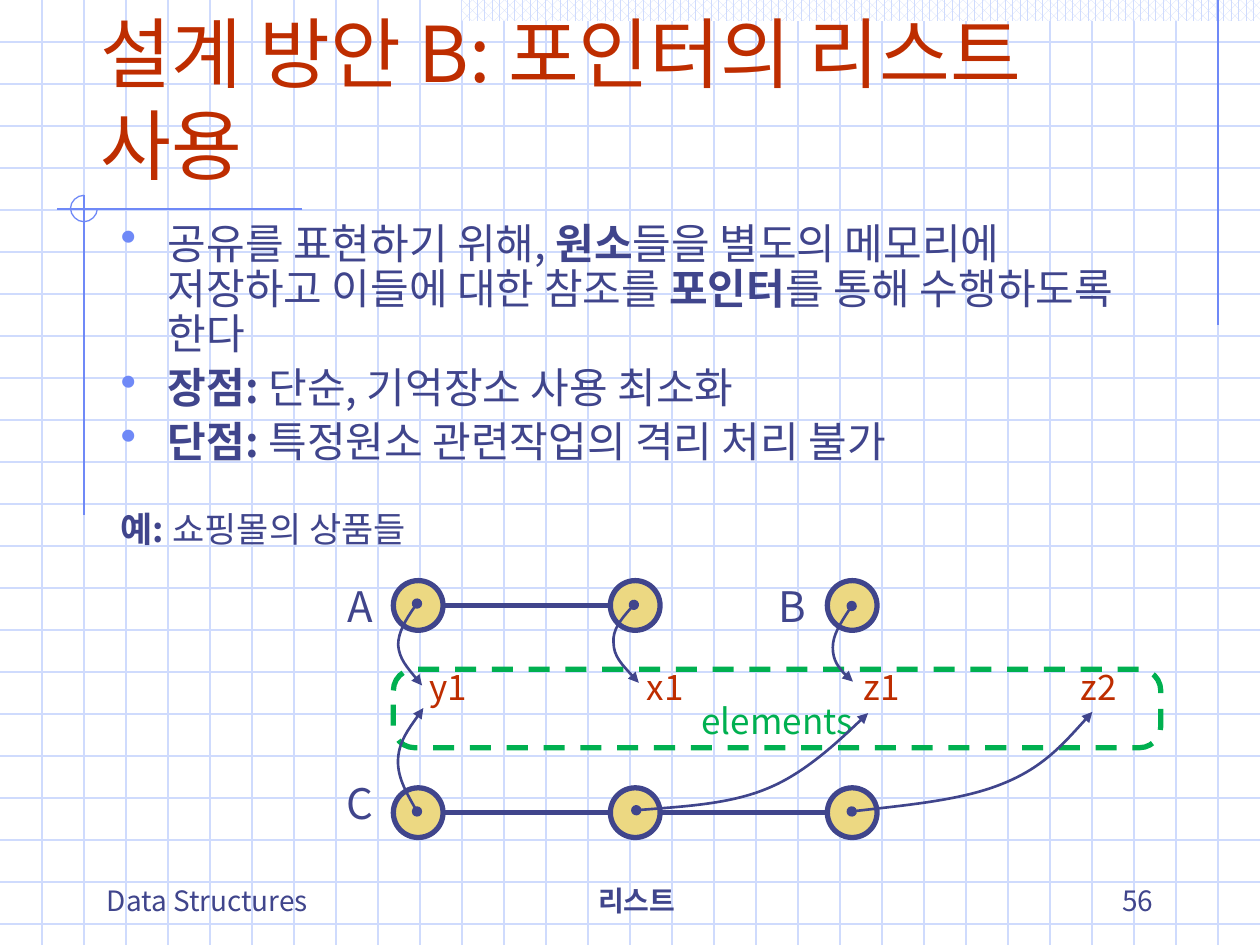
"""Build the slide on lists of pointers to shared elements."""
from lxml import etree
from pptx import Presentation
from pptx.dml.color import RGBColor
from pptx.enum.dml import MSO_LINE, MSO_PATTERN
from pptx.enum.shapes import MSO_CONNECTOR, MSO_SHAPE
from pptx.enum.text import MSO_ANCHOR, MSO_AUTO_SIZE, PP_ALIGN
from pptx.oxml.ns import qn
from pptx.util import Pt

LEFT, MID, RIGHT = PP_ALIGN.LEFT, PP_ALIGN.CENTER, PP_ALIGN.RIGHT
TOP, BOTTOM = MSO_ANCHOR.TOP, MSO_ANCHOR.BOTTOM
GROW, FIXED = MSO_AUTO_SIZE.SHAPE_TO_FIT_TEXT, MSO_AUTO_SIZE.NONE
STRAIGHT, DASH = MSO_CONNECTOR.STRAIGHT, MSO_LINE.DASH
RECT, ROUND, OVAL = MSO_SHAPE.RECTANGLE, MSO_SHAPE.ROUNDED_RECTANGLE, MSO_SHAPE.OVAL
DOTS = MSO_PATTERN.PERCENT_60
FONT = "Noto Sans CJK KR"
NAVY, RED, BLUE, PALE = "40458C", "BE2D00", "6F89F7", "CFDBFD"
GREEN, GOLD, WHITE = "00B050", "ECD882", "FFFFFF"
WIDE, HIGH, GRID = 720, 540, 24

TITLE = [[("설계 방안 B: 포인터의 리스트 사용", False)]]
BODY = [
    [("공유를 표현하기 위해, ", False), ("원소", True),
     ("들을 별도의 메모리에 저장하고 이들에 대한 참조를 ", False),
     ("포인터", True), ("를 통해 수행하도록 한다", False)],
    [("장점: ", True), ("단순, 기억장소 사용 최소화", False)],
    [("단점: ", True), ("특정원소 관련작업의 격리 처리 불가", False)],
]
CASE = [[("예: ", True), ("쇼핑몰의 상품들", False)]]
FOOT = [
    ("Data Structures", False, LEFT, (54, 491.8, 193.7, 36)),
    ("리스트", True, MID, (253.4, 491.8, 221, 36)),
    ("56", False, RIGHT, (516.2, 491.8, 149.8, 36)),
]
RULES = [(696, 0, 696, 186), (172.8, 119.5, 32.4, 119.5), (48, 111.6, 48, 294.5)]
ARC = [(48, 111.6), (43.9, 111.6), (40.3, 115.2), (40.3, 119), (40.3, 123),
       (43.9, 126.7), (48, 126.7), (52, 126.7), (55.6, 123), (55.6, 119.5)]
NODE, STEP, NODE_X = 28.4, 124, 224.8
ROWS = [(331.8, (0, 1, 2), (0,)), (450.2, (0, 1, 2), (0, 1))]
LISTS = [("A", 191.5, 331.9), ("B", 438.5, 331.9), ("C", 191.5, 444.2)]
ITEMS = ["y1", "x1", "z1", "z2"]
ARROWS = [
    [(363.6, 463), (391, 460.8), (418.3, 459.4), (439.9, 450),
     (462.2, 440.6), (496.1, 407.5), (496.1, 407.5)],
    [(486.7, 463.7), (518.4, 460), (550, 457.2), (573, 447.8),
     (596.2, 438.5), (609.8, 422.6), (624.2, 406.8)],
    [(238.3, 463.7), (232.6, 453.6), (226.8, 443.5), (227.5, 433.4),
     (228.2, 423.4), (235.4, 414), (241.9, 404.6)],
    [(238.3, 344.9), (232.6, 352.8), (227.5, 361.4), (227.5, 368.6),
     (228.2, 376.6), (234.7, 383.8), (241.2, 391.7)],
    [(362.2, 345.6), (355.7, 352.8), (349.9, 360), (350.6, 367.2),
     (350.6, 375.1), (357.8, 382.3), (365, 390.2)],
    [(486.7, 346.3), (481, 355), (475.9, 362.9), (475.9, 370),
     (475.9, 377.3), (481, 384.5), (487.4, 389.5)],
]

deck = Presentation()
deck.slide_width, deck.slide_height = Pt(WIDE), Pt(HIGH)
slide = deck.slides.add_slide(deck.slide_layouts[6])
shapes = slide.shapes


def rgb(hex_):
    return RGBColor.from_string(hex_)


def node(parent, tag, **attrs):
    return etree.SubElement(parent, qn(tag), **attrs)


def ink(line, color, width):
    line.color.rgb = rgb(color)
    line.width = Pt(width)


def rule(x1, y1, x2, y2, color, width):
    line = shapes.add_connector(STRAIGHT, Pt(x1), Pt(y1), Pt(x2), Pt(y2))
    ink(line.line, color, width)
    node(line._element.spPr, "a:effectLst")


def shape(kind, *box):
    made = shapes.add_shape(kind, *map(Pt, box))
    made.shadow.inherit = False
    return made


def curve(points, color, width, ends=False):
    first, *rest = [(Pt(x), Pt(y)) for x, y in points]
    pen = shapes.build_freeform(*first, scale=1.0)
    pen.add_line_segments(rest, close=False)
    made = pen.convert_to_shape()
    made.shadow.inherit = False
    made.fill.background()
    ink(made.line, color, width)
    legs = list(made._element.iter(qn("a:lnTo")))
    for i in range(0, len(legs), 3):
        bend = node(legs[i].getparent(), "a:cubicBezTo")
        for leg in legs[i:i + 3]:
            bend.append(leg[0])
            leg.getparent().remove(leg)
    if ends:
        stroke = made._element.spPr.find(qn("a:ln"))
        node(stroke, "a:headEnd", type="oval")
        node(stroke, "a:tailEnd", type="triangle")


def write(paras, box=None, host=None, size=20, color=NAVY, align=LEFT,
          anchor=TOP, pad=(7.2, 3.6), wrap=True, fit=FIXED, bullet=False):
    frame = (host or shapes.add_textbox(*map(Pt, box))).text_frame
    frame.word_wrap, frame.auto_size = wrap, fit
    frame.vertical_anchor = anchor
    frame.margin_left = frame.margin_right = Pt(pad[0])
    frame.margin_top = frame.margin_bottom = Pt(pad[1])
    for i, runs in enumerate(paras):
        para = frame.add_paragraph() if i else frame.paragraphs[0]
        para.alignment = align
        if bullet:
            para.line_spacing, para.space_before = 0.9, Pt(4.8)
            props = para._p.get_or_add_pPr()
            props.set("marL", str(Pt(27)))
            props.set("indent", str(-Pt(27)))
            node(node(props, "a:buClr"), "a:srgbClr", val=BLUE)
            node(props, "a:buSzPct", val="110000")
            node(props, "a:buChar", char="•")
        for text, bold in runs:
            run = para.add_run()
            run.text = text
            font = run.font
            font.size, font.bold, font.name = Pt(size), bold, FONT
            font.color.rgb = rgb(color)
            node(run._r.get_or_add_rPr(), "a:ea", typeface=FONT)


for y in range(GRID, HIGH, GRID):
    rule(0, y, WIDE, y, PALE, 0.75)
for x in range(GRID, WIDE, GRID):
    rule(x, 0, x, HIGH, PALE, 0.75)
band = shape(RECT, 264, 0, 456, 12)
band.fill.patterned()
band.fill.pattern = DOTS
band.fill.fore_color.rgb, band.fill.back_color.rgb = rgb(PALE), rgb(WHITE)
band.line.fill.background()
for ends in RULES:
    rule(*ends, BLUE, 0.75)
curve(ARC, BLUE, 0.75)

pool = shape(ROUND, 224.8, 382.5, 438.5, 44.8)
pool.adjustments[0] = 0.27
pool.fill.background()
ink(pool.line, GREEN, 3)
pool.line.dash_style = DASH
write([[("elements", False)]], host=pool, color=GREEN, align=MID,
      anchor=BOTTOM, pad=(0, 0), wrap=False)

for top, spots, links in ROWS:
    for i in spots:
        ring = shape(OVAL, NODE_X + i * STEP, top, NODE, NODE)
        ring.fill.solid()
        ring.fill.fore_color.rgb = rgb(GOLD)
        ink(ring.line, NAVY, 3)
    for i in links:
        x, y = NODE_X + i * STEP, top + NODE / 2
        rule(x + NODE, y, x + STEP, y, NAVY, 3)

write(TITLE, (50.4, 22.3, 612, 90), size=44, color=RED, anchor=BOTTOM)
write(BODY, (61.9, 123.8, 601.9, 157.7), size=24, bullet=True)
write(CASE, (61.9, 286.6, 434.9, 31.7), fit=GROW)
for text, bold, align, box in FOOT:
    write([[(text, bold)]], box, size=16, align=align, anchor=BOTTOM)
for i, name in enumerate(ITEMS):
    write([[(name, False)]], (236.2 + i * STEP, 376.6, 39.6, 31.7),
          color=RED, align=MID, fit=GROW)
for name, x, y in LISTS:
    write([[(name, False)]], (x, y, 28.8, 28.8), size=24, align=MID,
          pad=(0, 0), fit=GROW)
for points in ARROWS:
    curve(points, NAVY, 1.5, ends=True)

deck.save("out.pptx")
